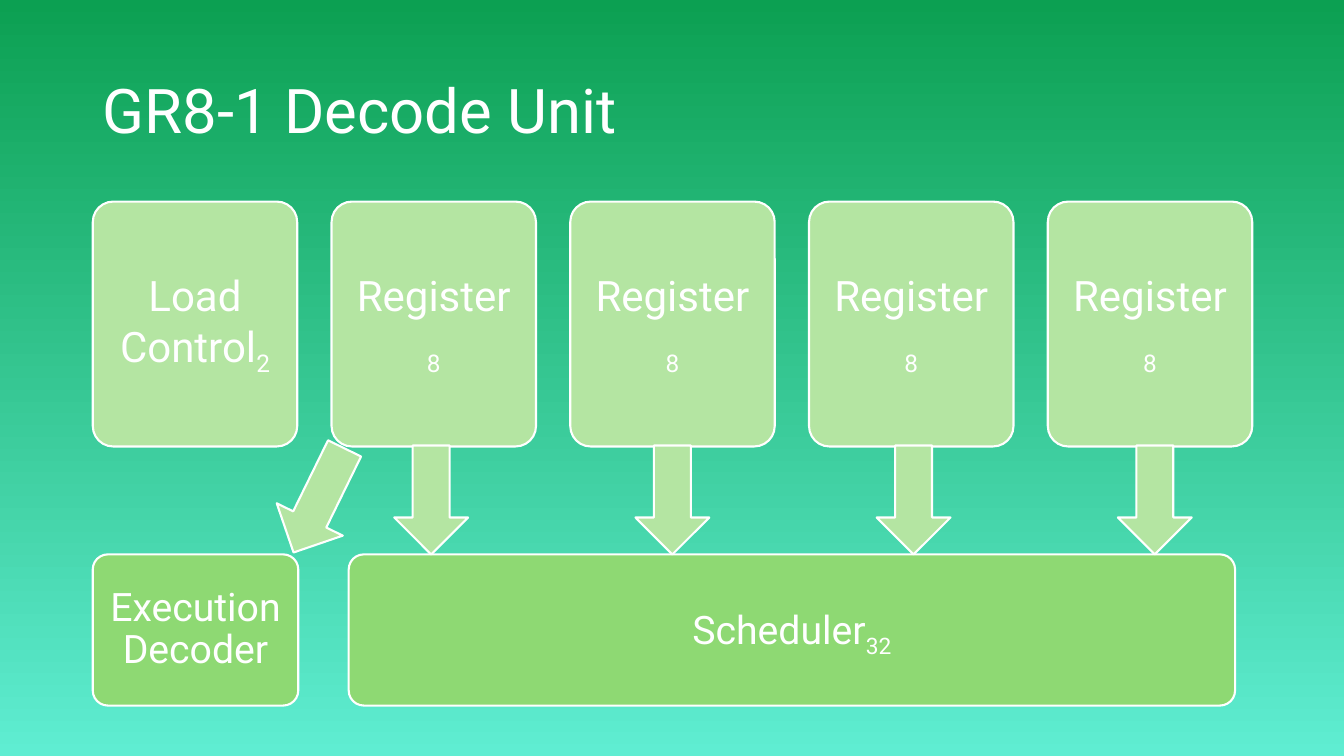
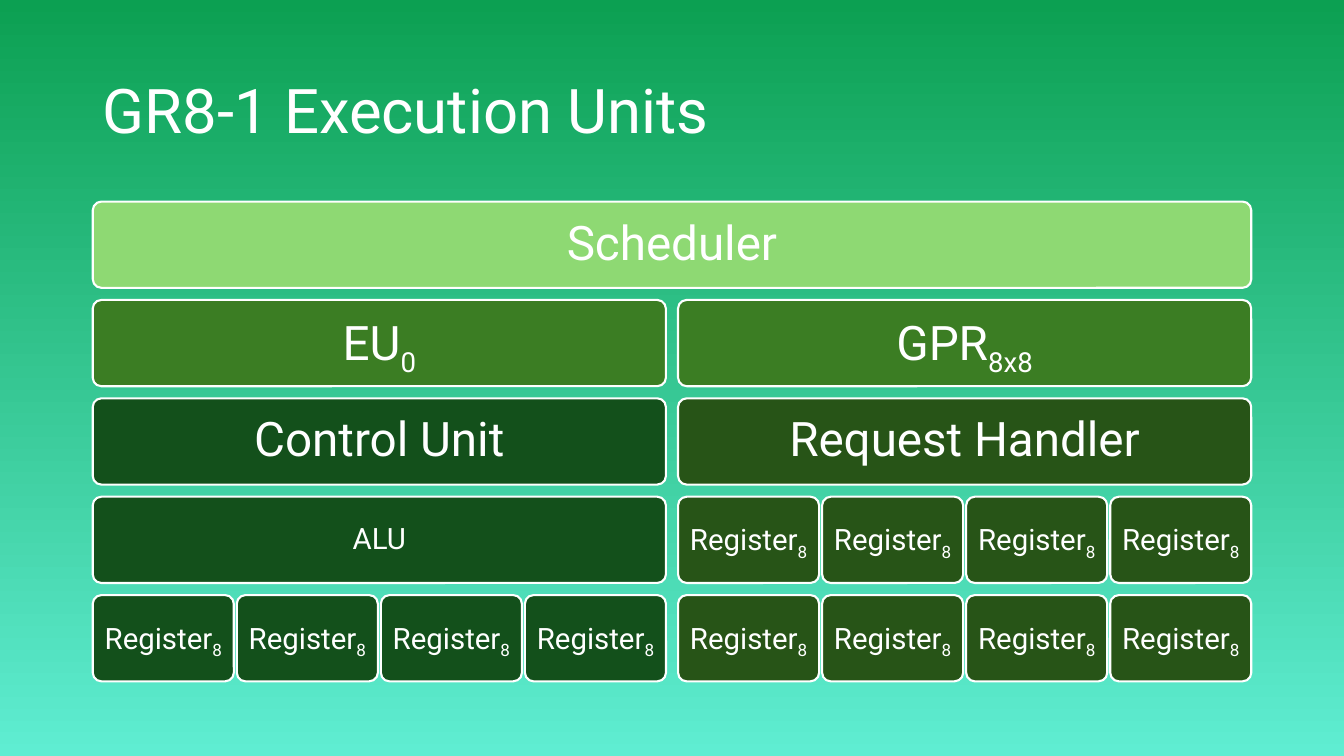
from dataclasses import dataclass

from pptx import Presentation
from pptx.dml.color import RGBColor
from pptx.enum.shapes import MSO_SHAPE as Shape
from pptx.enum.text import MSO_ANCHOR as Anchor, PP_ALIGN as Align
from pptx.util import Inches, Pt

COLORS = {
    "sky_top": "0CA052",
    "sky_bottom": "5FEDD2",
    "white": "FFFFFF",
    "pale": "B4E5A2",
    "light": "8ED973",
    "medium": "3B7D23",
    "olive": "275417",
    "forest": "13501B",
}
FONT = "Roboto"
TITLE_AREA = (0.92, 0.4, 11.5, 1.45)


def color(name):
    return RGBColor.from_string(COLORS[name])


@dataclass
class Grid:
    """Equal columns and rows inside an area (left, top, width, height)."""
    area: tuple
    columns: float = 1
    rows: float = 1
    gap: float = 0

    def cell(self, column=0, row=0, span=1):
        left, top, width, height = self.area
        column_width = (width - self.gap * (self.columns - 1)) / self.columns
        row_height = (height - self.gap * (self.rows - 1)) / self.rows
        return (left + column * (column_width + self.gap),
                top + row * (row_height + self.gap),
                span * (column_width + self.gap) - self.gap,
                row_height)


class Deck:
    def __init__(self):
        self.presentation = Presentation()
        self.presentation.slide_width = Inches(13.33)
        self.presentation.slide_height = Inches(7.5)
        self.slide = None
        # Gradient shared by all slides
        fill = self.presentation.slide_master.background.fill
        fill.gradient()
        fill.gradient_angle = 270
        for position, (stop, name) in enumerate(
                zip(fill.gradient_stops, ("sky_top", "sky_bottom"))):
            stop.position = position
            stop.color.rgb = color(name)

    def new_slide(self, title):
        layout = self.presentation.slide_layouts[6]
        self.slide = self.presentation.slides.add_slide(layout)
        box = self.slide.shapes.add_textbox(*map(Inches, TITLE_AREA))
        self.label(box, title, 44, Align.LEFT, 0.1)

    def label(self, shape, text, size, align, inset, subscript=""):
        frame = shape.text_frame
        frame.word_wrap = True
        frame.vertical_anchor = Anchor.MIDDLE
        frame.margin_left = frame.margin_right = Inches(inset)
        frame.margin_top = frame.margin_bottom = Inches(0.05)
        paragraph = frame.paragraphs[0]
        paragraph.alignment = align
        paragraph.line_spacing = 0.9
        paragraph.font.name = FONT
        paragraph.font.size = Pt(size)
        paragraph.font.color.rgb = color("white")
        paragraph.add_run().text = text
        if subscript:
            run = paragraph.add_run()
            run.text = subscript
            run.font._element.set("baseline", "-25000")

    def outlined(self, kind, area, fill):
        shape = self.slide.shapes.add_shape(kind, *map(Inches, area))
        shape.shadow.inherit = False
        shape.fill.solid()
        shape.fill.fore_color.rgb = color(fill)
        shape.line.color.rgb = color("white")
        shape.line.width = Pt(1.5)
        return shape

    def block(self, area, fill, size, text, subscript="", inset=0.12):
        shape = self.outlined(Shape.ROUNDED_RECTANGLE, area, fill)
        shape.adjustments[0] = 0.1
        self.label(shape, text, size, Align.CENTER, inset, subscript)

    def arrow(self, area, rotation=0):
        self.outlined(Shape.DOWN_ARROW, area, "pale").rotation = rotation

    def registers(self, area, fill):
        """Four small registers side by side."""
        grid = Grid(area, columns=4, gap=0.03)
        for column in range(4):
            self.block(grid.cell(column), fill, 21, "Register", "8", inset=0.05)


def decode_unit(deck):
    deck.new_slide("GR8-1 Decode Unit")
    # Inputs; the wide inset puts each register's width on its own line
    inputs = Grid((0.92, 2, 11.5, 2.43), columns=5, gap=0.34)
    labels = [("Load Control", "2")] + [("Register", "8")] * 4
    for column, label in enumerate(labels):
        deck.block(inputs.cell(column), "pale", 30, *label, inset=0.14)
    # Consumers
    consumers = Grid((0.92, 5.5, 11.33, 1.5), columns=4.66, gap=0.5)
    deck.block(consumers.cell(), "light", 28, "Execution Decoder")
    deck.block(consumers.cell(1, span=3.66), "light", 28, "Scheduler", "32")
    # Arrows
    arrows = Grid((3.91, 4.42, 7.91, 1.08), columns=4, gap=1.66)
    for column in range(4):
        deck.arrow(arrows.cell(column))
    deck.arrow((2.8, 4.39, 0.73, 1.15), rotation=26.1)


def execution_units(deck):
    deck.new_slide("GR8-1 Execution Units")
    halves = Grid((0.92, 2, 11.49, 4.76), columns=2, rows=5, gap=0.12)
    deck.block(halves.cell(span=2), "light", 34, "Scheduler")
    # Execution unit on the left, general registers on the right
    for column, row, fill, size, *label in (
            (0, 1, "medium", 34, "EU", "0"),
            (0, 2, "forest", 34, "Control Unit"),
            (0, 3, "forest", 21, "ALU"),
            (1, 1, "medium", 34, "GPR", "8x8"),
            (1, 2, "olive", 34, "Request Handler")):
        deck.block(halves.cell(column, row), fill, size, *label)
    # Register banks
    for column, row, fill in ((0, 4, "forest"), (1, 3, "olive"), (1, 4, "olive")):
        deck.registers(halves.cell(column, row), fill)


def main():
    deck = Deck()
    decode_unit(deck)
    execution_units(deck)
    deck.presentation.save("out.pptx")


if __name__ == "__main__":
    main()
